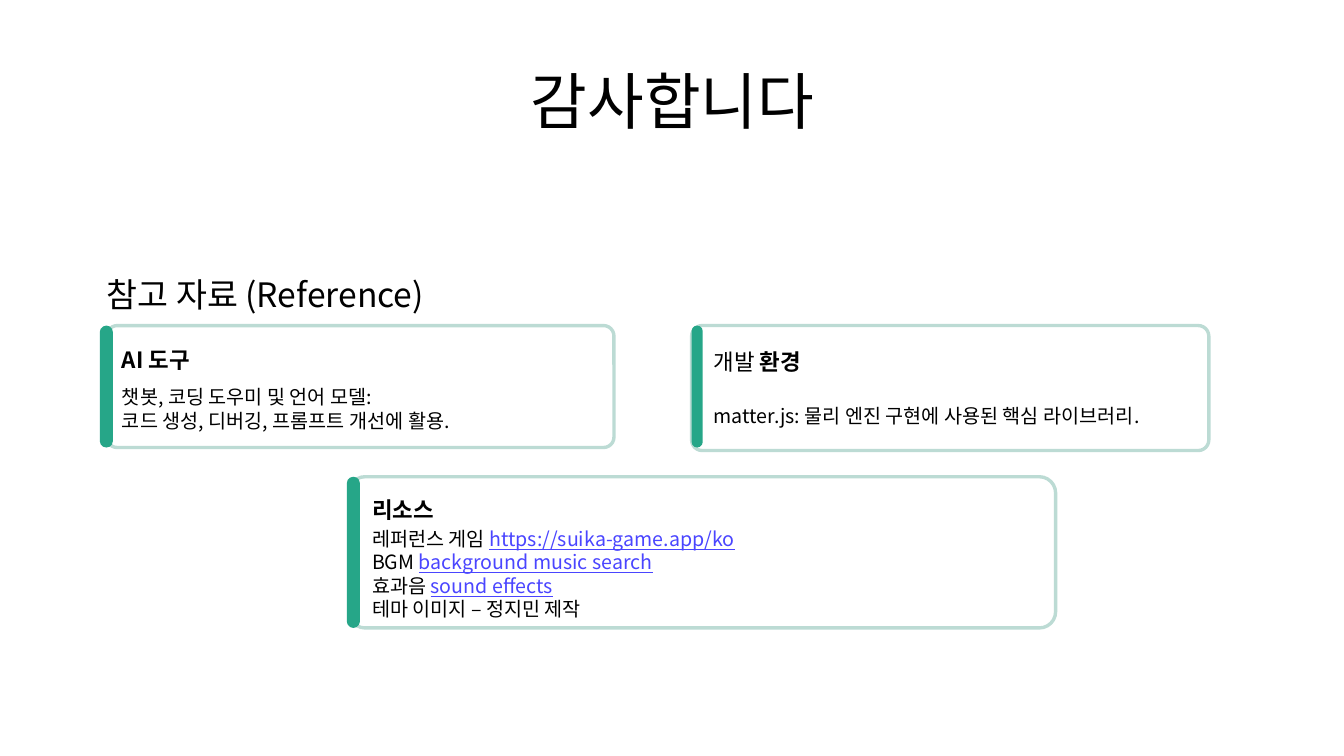
from lxml import etree
from pptx import Presentation
from pptx.dml.color import RGBColor
from pptx.enum.shapes import MSO_SHAPE
from pptx.enum.text import MSO_ANCHOR, PP_ALIGN
from pptx.oxml.ns import qn
from pptx.util import Inches, Pt

FONT = "Noto Sans CJK KR"
BLACK = RGBColor(0x00, 0x00, 0x00)
WHITE = RGBColor(0xFF, 0xFF, 0xFF)
MINT = RGBColor(0xBC, 0xDB, 0xD4)
GREEN = RGBColor(0x26, 0xA6, 0x88)
LINK = RGBColor(0x4A, 0x45, 0xFF)


def add_run(p, text, size, color=BLACK, bold=False, underline=False):
    """Add a run whose Latin and East Asian fonts are both FONT."""
    r = p.add_run()
    r.text = text
    r.font.name = FONT
    r.font.size = Pt(size)
    r.font.bold = bold
    r.font.underline = underline
    r.font.color.rgb = color
    latin = r.font._element.find(qn("a:latin"))
    ea = etree.Element(qn("a:ea"), typeface=FONT)
    latin.addnext(ea)


def add_text(box, lines, size, spacing=None, anchor=MSO_ANCHOR.TOP):
    """Add a text box; each line is a list of (text, run options)."""
    tf = s.shapes.add_textbox(*map(Inches, box)).text_frame
    tf.word_wrap = True
    tf.vertical_anchor = anchor
    tf.margin_left = tf.margin_right = tf.margin_top = tf.margin_bottom = 0
    for i, line in enumerate(lines):
        p = tf.add_paragraph() if i else tf.paragraphs[0]
        if spacing:
            p.line_spacing = Pt(spacing)
        for text, options in line:
            add_run(p, text, size, **options)


prs = Presentation()
prs.slide_width = Inches(13.33)
prs.slide_height = Inches(7.5)
s = prs.slides.add_slide(prs.slide_layouts[5])

title = s.shapes.title
title.left, title.top = Inches(0.67), Inches(0.37)
title.width, title.height = Inches(12), Inches(1.25)
title.text_frame.vertical_anchor = MSO_ANCHOR.MIDDLE
p = title.text_frame.paragraphs[0]
p.alignment = PP_ALIGN.CENTER
add_run(p, "감사합니다", 44)

add_text((1.06, 2.35, 4.63, 0.39), [[("참고 자료 (Reference)", {})]], 24, 55.5)

bold = {"bold": True}
link = {"color": LINK, "underline": True}

# frame, corner, accent bar, heading box, heading, body box, body, line spacing, anchor
cards = [
    ((1.06, 3.23, 5.03, 1.21), 0.085, (0.99, 3.23, 0.13, 1.21),
     (1.21, 3.32, 2.36, 0.21), [("AI 도구", bold)],
     (1.21, 3.82, 4.72, 1.12),
     [[("챗봇, 코딩 도우미 및 언어 모델:", {})],
      [("코드 생성, 디버깅, 프롬프트 개선에 활용.", {})]],
     None, MSO_ANCHOR.TOP),
    ((6.86, 3.23, 5.13, 1.24), 0.085, (6.86, 3.23, 0.11, 1.21),
     (7.08, 3.34, 3.1, 0.39), [("개발 ", {}), ("환경", bold)],
     (7.08, 3.85, 5.26, 0.4),
     [[("matter.js: 물리 엔진 구현에 사용된 핵심 라이브러리.", {})]],
     28.5, MSO_ANCHOR.TOP),
    ((3.46, 4.73, 7.01, 1.5), 0.107, (3.44, 4.73, 0.13, 1.5),
     (3.69, 4.81, 3.1, 0.39), [("리소스", bold)],
     (3.69, 5.04, 4.07, 1.3),
     [[("레퍼런스 게임 ", {}), ("https://suika-game.app/ko", link)],
      [("BGM ", {}), ("background music search", link)],
      [("효과음 ", {}), ("sound effects", link)],
      [("테마 이미지 – 정지민 제작", {})]],
     None, MSO_ANCHOR.MIDDLE),
]

for frame, corner, bar, head_box, heading, body_box, body, spacing, anchor in cards:
    for box, radius, fill in ((frame, corner, WHITE), (bar, 0.5, GREEN)):
        sp = s.shapes.add_shape(MSO_SHAPE.ROUNDED_RECTANGLE, *map(Inches, box))
        sp.adjustments[0] = radius
        sp.shadow.inherit = False
        sp.fill.solid()
        sp.fill.fore_color.rgb = fill
        if box is frame:
            sp.line.color.rgb = MINT
            sp.line.width = Pt(2.4)
        else:
            sp.line.fill.background()
    add_text(head_box, [heading], 16, 27.5)
    add_text(body_box, body, 14, spacing, anchor)

prs.save("out.pptx")
